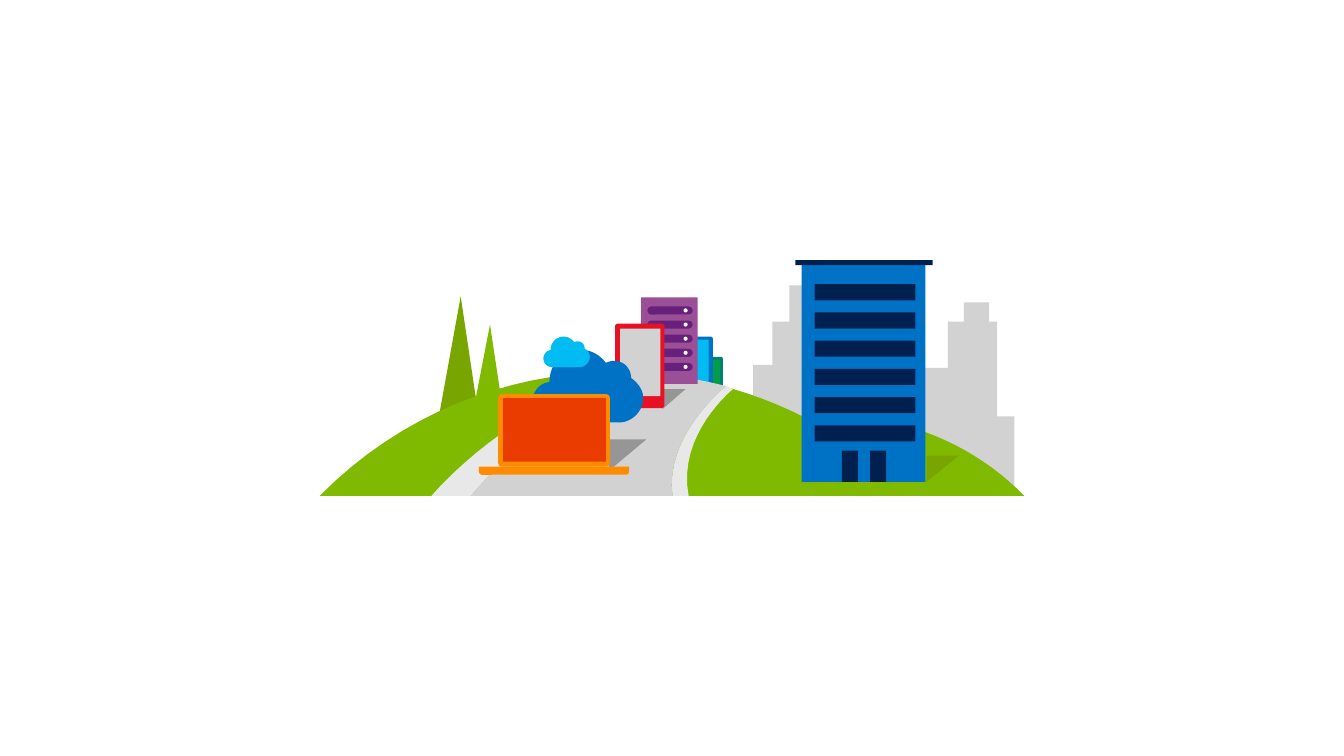
import typing

import pptx
import pptx.dml.color
import pptx.enum.shapes
import pptx.shapes.autoshape
import pptx.shapes.shapetree
import pptx.util

PX = 9144
BEND = 16
KIND = pptx.enum.shapes.MSO_SHAPE

NAVY = "002050"
BLUE = "0072C6"
SKY = "00BCF2"
GRASS = "7FBA00"
MOSS = "79A500"
LIGHT = "E8E8E8"
GRAY = "D2D2D2"
DARK = "969696"
WHITE = "FFFFFF"

Point = tuple[float, float]


class Box(typing.NamedTuple):
    x: int
    y: int
    w: int
    h: int
    color: str
    kind: KIND = KIND.RECTANGLE
    round: tuple[float, ...] = ()


class Form(typing.NamedTuple):
    color: str
    start: Point
    steps: list[tuple[float, ...]]


Part = Box | Form


def paint(shape: pptx.shapes.autoshape.Shape, color: str) -> None:
    shape.shadow.inherit = False
    shape.fill.solid()
    shape.fill.fore_color.rgb = pptx.dml.color.RGBColor.from_string(color)
    shape.line.fill.background()


def trace(form: Form) -> list[Point]:
    points = [form.start]
    for step in form.steps:
        if len(step) == 2:
            points.append(step)
            continue
        knots = [points[-1], step[:2], step[2:4], step[4:]]
        for i in range(1, BEND + 1):
            t = i / BEND
            s = 1 - t
            parts = (s**3, 3 * s * s * t, 3 * s * t * t, t**3)
            x, y = (sum(p * k[axis] for p, k in zip(parts, knots)) for axis in (0, 1))
            points.append((x, y))
    return points


def draw(shapes: pptx.shapes.shapetree.GroupShapes, part: Part) -> None:
    if isinstance(part, Box):
        shape = shapes.add_shape(
            part.kind, *(pptx.util.Emu(n * PX) for n in part[:4])
        )
        for i, size in enumerate(part.round):
            shape.adjustments[i] = size
    else:
        first, *rest = [(x * PX, y * PX) for x, y in trace(part)]
        pen = shapes.build_freeform(*first, scale=1.0)
        pen.add_line_segments(rest, close=True)
        shape = pen.convert_to_shape()
    paint(shape, part.color)


def curved(x: int, y: int, w: int, h: int, color: str, curve: int) -> Box:
    return Box(x, y, w, h, color, KIND.ROUNDED_RECTANGLE, (curve / min(w, h),))


def shade(x: int, y: int, w: int, h: int, color: str) -> Form:
    return Form(color, (x, y), [(x + w, y), (x, y + h)])


def tree(x: int, y: int, left: int, right: int, color: str) -> Form:
    return Form(color, (x, y), [(left, 415), (right, 415)])


def cloud(x: int, y: int, w: int, color: str) -> Form:
    rim = [
        (17, 13, 31, 0, 48, 0),
        (58, 0, 67, 5, 73, 13),
        (75, 12, 78, 11, 81, 11),
        (84, 11, 88, 12, 91, 14),
        (95, 17, 98, 22, 98, 28),
        (105, 33, 110, 40, 110, 48),
        (110, 60, 100, 71, 88, 72),
        (20, 72),
        (9, 72, 0, 63, 0, 52),
        (0, 42, 7, 33, 17, 32),
    ]
    rate = w / 110
    steps = [
        tuple((y if i % 2 else x) + n * rate for i, n in enumerate(step))
        for step in rim
    ]
    return Form(color, (x + 17 * rate, y + 32 * rate), steps)


PHONES = [
    curved(686, 354, 31, 53, "008272", 2),
    Box(689, 357, 25, 42, "009E49"),
    curved(674, 334, 33, 56, BLUE, 2),
    Box(677, 337, 26, 44, SKY),
]
TOWN = [
    Box(x, y, w, h, GRAY)
    for x, y, w, h in [
        (766, 319, 64, 145),
        (783, 283, 35, 125),
        (747, 362, 25, 103),
        (956, 300, 25, 78),
        (901, 365, 67, 99),
        (957, 413, 49, 74),
        (940, 319, 49, 161),
    ]
]
TREES = [tree(457, 294, 435, 475, MOSS), tree(486, 322, 468, 500, GRASS)]
HILLS = [
    Form(GRASS, (870, 416), [
        (855, 413, 838, 412, 822, 412),
        (754, 413, 686, 439, 633, 492),
        (1016, 492),
        (975, 450, 923, 425, 870, 416),
    ]),
    Form(GRASS, (680, 375), [
        (656, 371, 632, 369, 607, 369),
        (502, 370, 397, 411, 317, 492),
        (905, 492),
        (841, 428, 762, 389, 680, 375),
    ]),
]
ROAD = [
    Form(LIGHT, (638, 370), [
        (634, 370),
        (510, 393, 428, 492, 428, 492),
        (467, 492),
        (467, 492, 544, 397, 638, 370),
    ]),
    Form(LIGHT, (727, 386), [
        (720, 383),
        (717, 386, 659, 433, 667, 492),
        (683, 492),
        (671, 431, 727, 386, 727, 386),
    ]),
    Form(GRAY, (720, 383), [
        (693, 376, 666, 372, 638, 370),
        (544, 397, 467, 492, 467, 492),
        (667, 492),
        (659, 433, 717, 386, 720, 383),
    ]),
]
TOWER = [
    Box(795, 260, 123, 218, BLUE),
    shade(919, 452, 32, 26, MOSS),
    *(Box(x, 447, 16, 31, NAVY) for x in (835, 863)),
    *(Box(808, 282 + 28 * i, 100, 16, NAVY) for i in range(6)),
    Box(789, 258, 136, 5, NAVY),
]
SERVER = [
    shade(657, 386, 23, 20, DARK),
    Box(636, 295, 56, 86, "9B4F96"),
    *(curved(642, 304 + 14 * i, 45, 8, "68217A", 4) for i in range(5)),
    *(Box(678, 306 + 14 * i, 4, 4, WHITE, KIND.OVAL) for i in range(5)),
]
TABLET = [
    curved(610, 321, 49, 84, "E81123", 3),
    Box(615, 326, 40, 67, GRAY),
]
CLOUDS = [cloud(528, 347, 110, BLUE), cloud(539, 334, 46, SKY)]
LAPTOP = [
    shade(604, 436, 37, 31, DARK),
    curved(494, 391, 111, 72, "FF8C00", 4),
    Box(499, 395, 102, 63, "EB3C00"),
    Box(475, 463, 149, 8, "FF8C00", KIND.ROUND_2_SAME_RECTANGLE, (0, 0.4)),
]


def main() -> None:
    deck = pptx.Presentation()
    deck.slide_width = pptx.util.Inches(13.33)
    deck.slide_height = pptx.util.Inches(7.5)
    slide = deck.slides.add_slide(deck.slide_layouts[6])
    shapes = slide.shapes.add_group_shape().shapes
    scene = (PHONES, TOWN, TREES, HILLS, ROAD, TOWER, SERVER, TABLET, CLOUDS, LAPTOP)
    for parts in scene:
        for part in parts:
            draw(shapes, part)
    deck.save("out.pptx")


if __name__ == "__main__":
    main()
